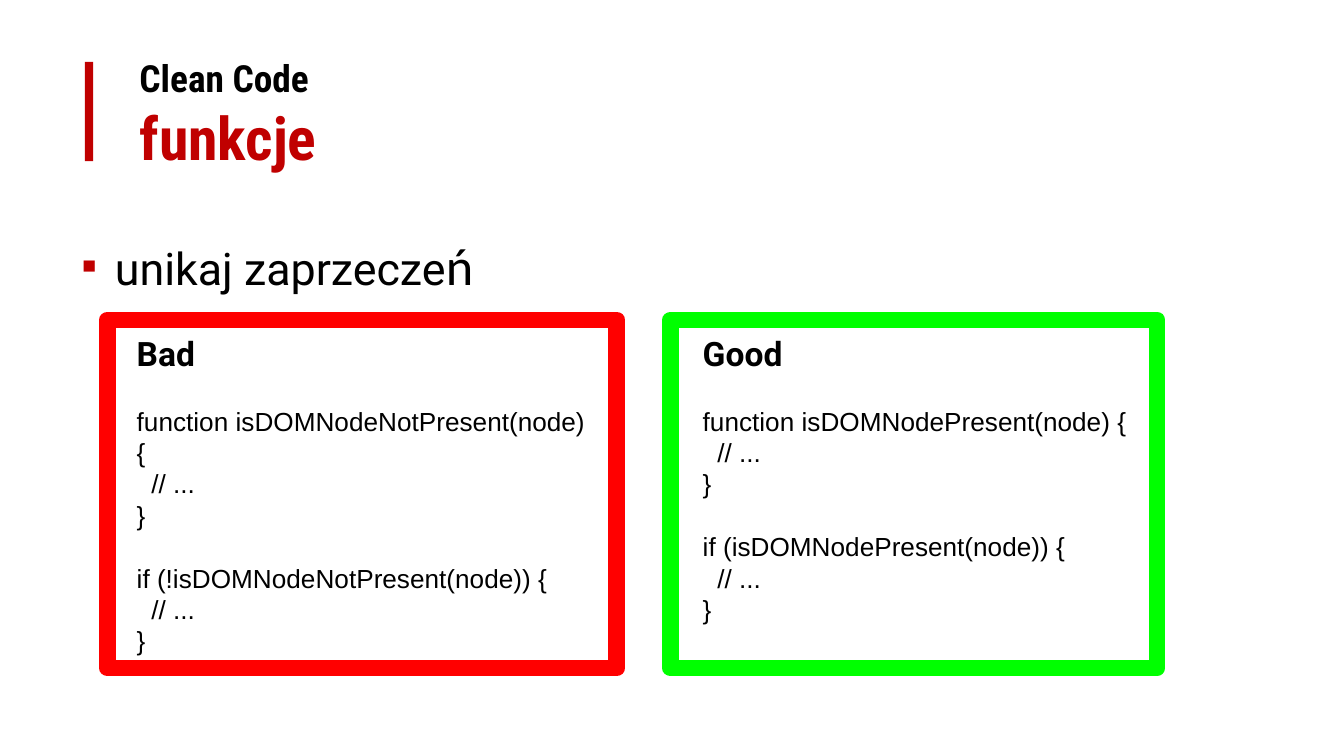
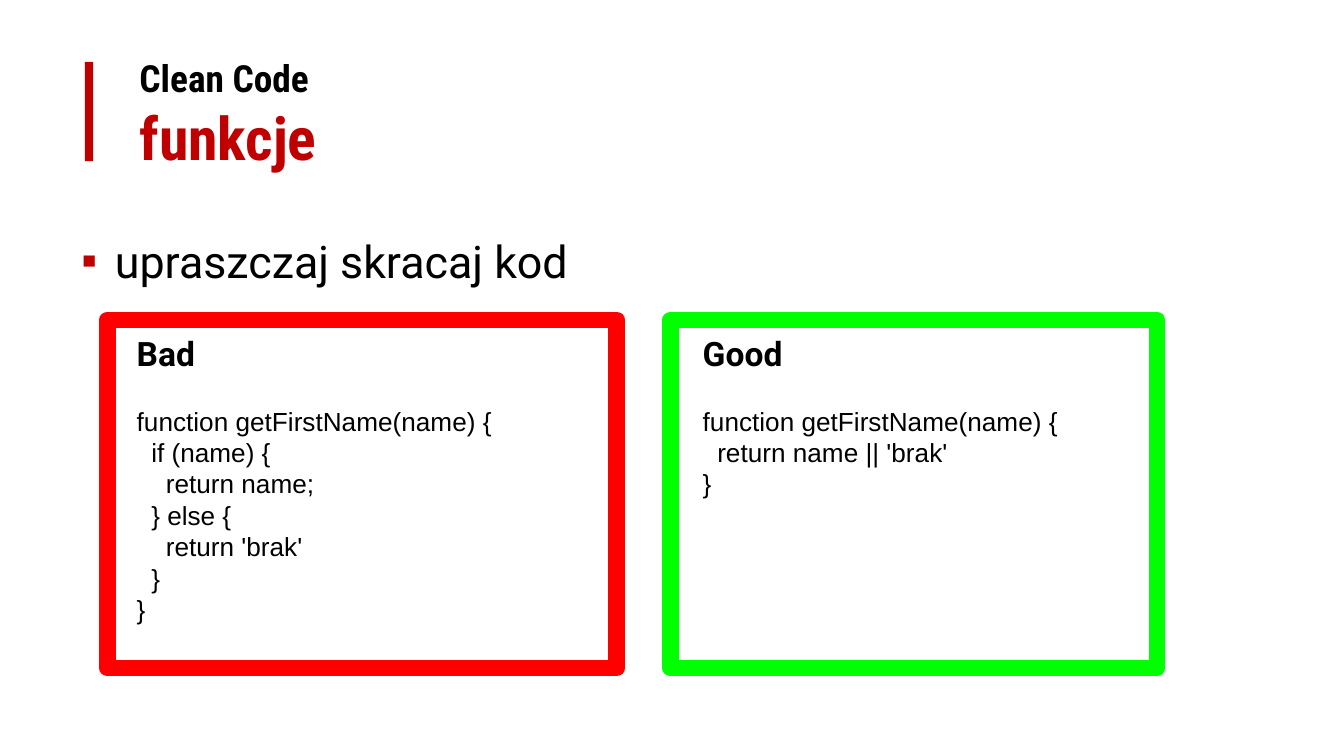
"""Build two Clean Code slides that compare bad and good functions."""
from lxml.etree import SubElement as Sub
from pptx import Presentation
from pptx.dml.color import RGBColor as RGB
from pptx.enum.shapes import MSO_SHAPE as SHAPE
from pptx.enum.text import MSO_ANCHOR as ANCHOR, MSO_AUTO_SIZE as AUTO, PP_ALIGN as ALIGN
from pptx.oxml.ns import qn
from pptx.util import Pt

HUES = {"ink": "000000", "accent": "C00000", "bad": "FF0000", "good": "00FF00"}
HEAD, BODY, CODE = "Roboto Condensed", "Roboto", "Arial"
STEP = 3.9
LEAD = 16.8

SLIDES = [
    {
        "point": [("unikaj zaprzecze", 24, BODY), ("ń", 28, "Calibri")],
        "bad": """function isDOMNodeNotPresent(node) {
  // ...
}

if (!isDOMNodeNotPresent(node)) {
  // ...
}""",
        "good": """function isDOMNodePresent(node) {
  // ...
}

if (isDOMNodePresent(node)) {
  // ...
}""",
    },
    {
        "point": [("upraszczaj skracaj kod", 24, BODY)],
        "bad": """function getFirstName(name) {
  if (name) {
    return name;
  } else {
    return 'brak'
  }
}""",
        "good": """function getFirstName(name) {
  return name || 'brak'
}""",
    },
]

PANES = [
    ("good", "Good", 359.3, 260.6, 369.4, 306.7),
    ("bad", "Bad", 57.6, 272.9, 66.2, 257),
]


def setup(shape):
    frame = shape.text_frame
    frame.word_wrap = True
    frame.auto_size = AUTO.NONE
    frame.vertical_anchor = ANCHOR.TOP
    frame.margin_left = frame.margin_right = Pt(7.2)
    frame.margin_top = frame.margin_bottom = Pt(7.2)
    return frame


def write(par, text, size, font, hue="ink", bold=False):
    run = par.add_run()
    run.text = text
    run.font.size = Pt(size)
    run.font.name = font
    run.font.bold = bold
    run.font.color.rgb = RGB.from_string(HUES[hue])


deck = Presentation()
deck.slide_width, deck.slide_height = Pt(720), Pt(405)

for data in SLIDES:
    slide = deck.slides.add_slide(deck.slide_layouts[5])
    shapes = slide.shapes

    bar = shapes.add_shape(SHAPE.RECTANGLE, Pt(45.5), Pt(33.2), Pt(4.4), Pt(53.2))
    bar.shadow.inherit = False
    bar.fill.solid()
    bar.fill.fore_color.rgb = RGB.from_string(HUES["accent"])
    bar.line.fill.background()

    title = shapes.title
    title.left, title.top, title.width, title.height = Pt(67.5), Pt(22.5), Pt(334), Pt(67.7)
    par = setup(title).paragraphs[0]
    par.alignment = ALIGN.LEFT
    write(par, "Clean Code", 20, HEAD, bold=True)
    par.add_line_break()
    write(par, "funkcje", 32, HEAD, "accent", True)

    box = shapes.add_textbox(Pt(18.5), Pt(118), Pt(609), Pt(53.3))
    par = setup(box).paragraphs[0]
    props = par._p.get_or_add_pPr()
    props.set("marL", str(Pt(36)))
    props.set("indent", str(Pt(-18)))
    Sub(Sub(props, qn("a:buClr")), qn("a:srgbClr"), val=HUES["accent"])
    Sub(props, qn("a:buFont"), typeface=CODE)
    Sub(props, qn("a:buChar"), char="▪")
    for text, size, font in data["point"]:
        write(par, text, size, font)

    for key, label, left, width, inset, span in PANES:
        box = shapes.add_textbox(Pt(inset), Pt(171.4), Pt(span), Pt(206.6))
        frame = setup(box)
        write(frame.paragraphs[0], label, 18, BODY, bold=True)
        gap = LEAD
        for line in data[key].splitlines():
            text = line.lstrip()
            if not text:
                gap = LEAD
                continue
            par = frame.add_paragraph()
            par.line_spacing = Pt(LEAD)
            par.space_before = Pt(gap)
            depth = len(line) - len(text)
            par._p.get_or_add_pPr().set("marL", str(Pt(depth * STEP)))
            write(par, text, 14, CODE)
            gap = 0

        edge = shapes.add_shape(SHAPE.RECTANGLE, Pt(left), Pt(171.4), Pt(width), Pt(186.5))
        edge.shadow.inherit = False
        edge.fill.background()
        edge.line.color.rgb = RGB.from_string(HUES[key])
        edge.line.width = Pt(9)
        Sub(edge.line._get_or_add_ln(), qn("a:round"))

deck.save("out.pptx")
